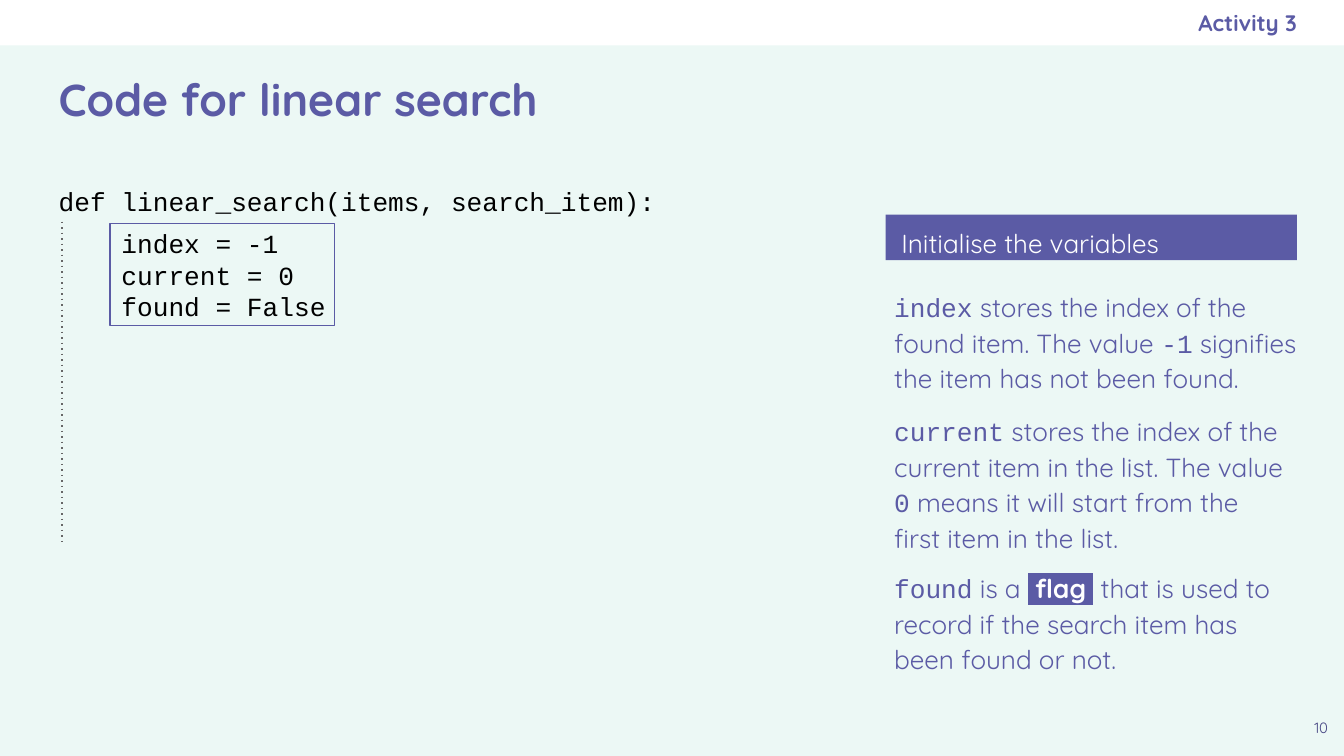
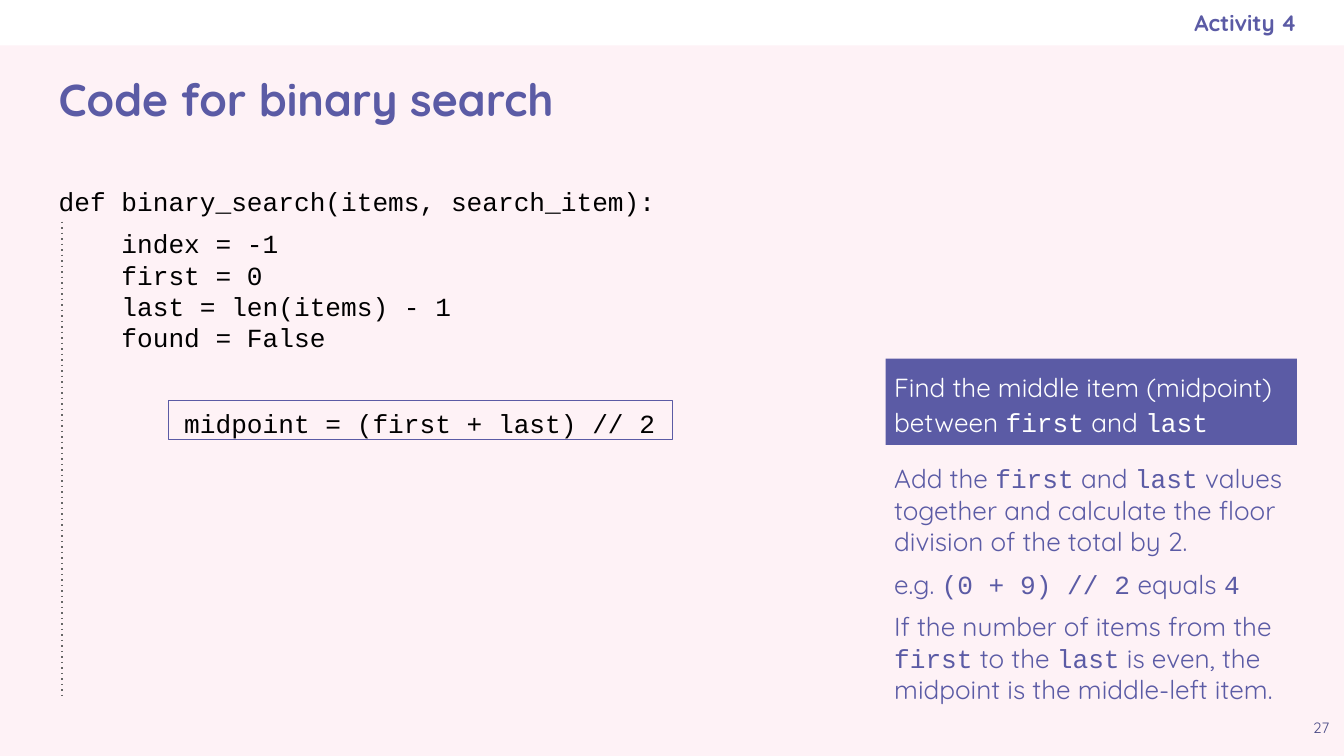
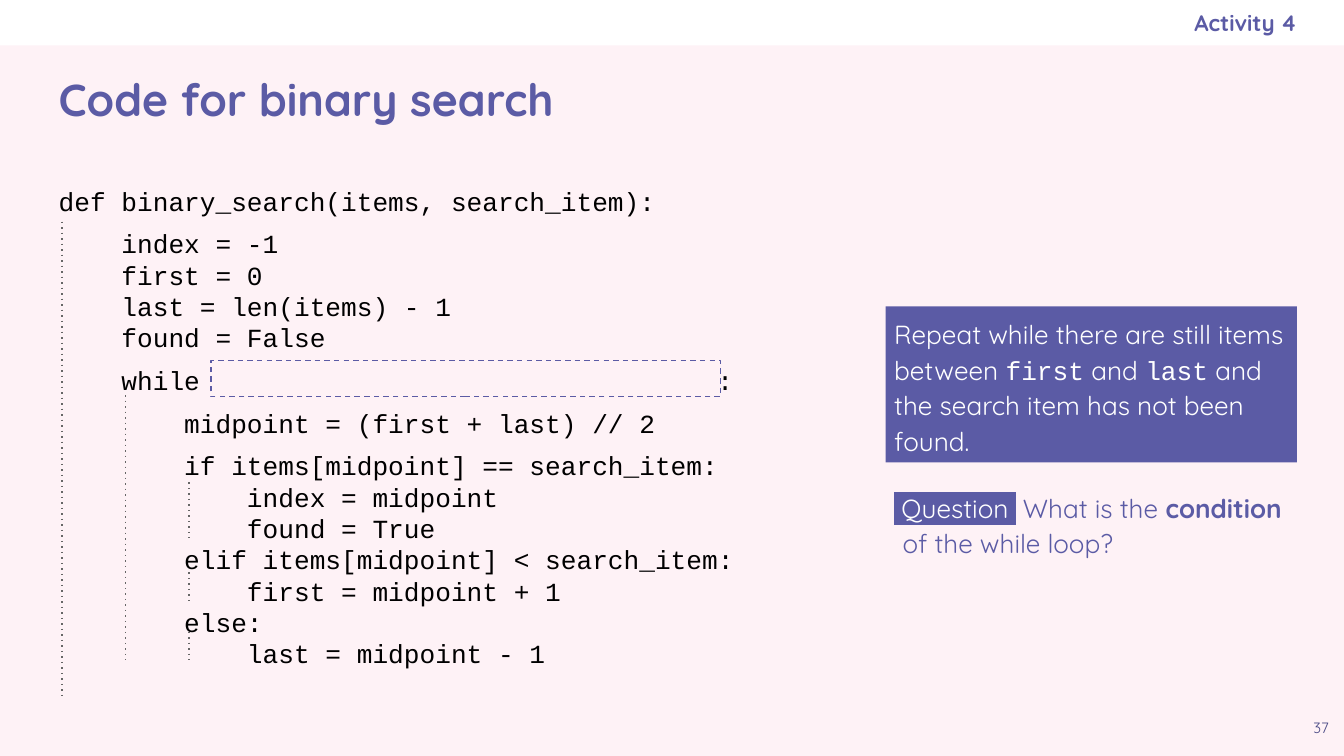
from lxml.etree import SubElement
from pptx import Presentation
from pptx.dml.color import RGBColor
from pptx.enum.dml import MSO_LINE
from pptx.enum.shapes import MSO_CONNECTOR, MSO_SHAPE
from pptx.enum.text import MSO_ANCHOR, PP_ALIGN
from pptx.oxml.ns import qn
from pptx.util import Cm, Pt

PURPLE, WHITE, BLACK = "5B5BA5", "FFFFFF", "000000"
INDIGO, GREY, MINT, PINK = "494985", "666666", "ECF8F5", "FEF2F6"
SANS, MONO = "Quicksand", "Courier New"
WIDE, HIGH, STRIP = 25.4, 14.29, 0.86
SIDE, SPAN = 16.74, 7.77
PAD, SLIM = 0.25, 0.16
ROW, GAP = 16.8, 6
STEM, STEP = 1.17, 1.2
COLON = 12.45

HEAD = "def binary_search(items, search_item):"
SETUP = """    index = -1
    first = 0
    last = len(items) - 1
    found = False"""
MIDDLE = "        midpoint = (first + last) // 2"
BRANCH = """        if items[midpoint] == search_item:
            index = midpoint
            found = True
        elif items[midpoint] < search_item:
            first = midpoint + 1
        else:
            last = midpoint - 1"""
FIRST, LAST = ("code", "first"), ("code", "last")


def paint(fmt, color):
    """Give a fill or line format a solid hex colour."""
    fill = getattr(fmt, "fill", fmt)
    fill.solid()
    fill.fore_color.rgb = RGBColor.from_string(color)


def style(font, size, color, face=SANS, bold=None):
    """Set the look of a font."""
    font.size, font.name, font.bold = Pt(size), face, bold
    font.color.rgb = RGBColor.from_string(color)


def fit(frame, pad, right=None, anchor=MSO_ANCHOR.TOP):
    """Set wrapping, insets and anchor of a text frame."""
    frame.word_wrap = True
    frame.vertical_anchor = anchor
    frame.margin_left = frame.margin_top = frame.margin_bottom = Cm(pad)
    frame.margin_right = Cm(pad if right is None else right)
    return frame


def box(slide, left, top, width, height, pad=PAD, right=None,
        anchor=MSO_ANCHOR.TOP):
    """Add a text box and return its frame."""
    shape = slide.shapes.add_textbox(Cm(left), Cm(top), Cm(width), Cm(height))
    return fit(shape.text_frame, pad, right, anchor)


def label(frame, text, size, color, bold=None, align=PP_ALIGN.LEFT):
    """Write one line of text in a frame."""
    para = frame.paragraphs[0]
    para.text, para.alignment = text, align
    style(para.font, size, color, bold=bold)


def block(slide, left, top, width, height, color=None):
    """Add a plain rectangle, filled or clear."""
    shape = slide.shapes.add_shape(MSO_SHAPE.RECTANGLE, Cm(left), Cm(top),
                                   Cm(width), Cm(height))
    shape.shadow.inherit = False
    shape.line.fill.background()
    if color:
        paint(shape.fill, color)
    else:
        shape.fill.background()
    return shape


def outline(slide, left, top, width, height, dash=None):
    """Frame some lines of code."""
    shape = block(slide, left, top, width, height)
    paint(shape.line, PURPLE)
    shape.line.width = Pt(0.75)
    if dash:
        shape.line.dash_style = dash


def guide(slide, level, top, end):
    """Draw a dotted indent guide at a code level."""
    x = Cm(STEM + level * STEP)
    rule = slide.shapes.add_connector(MSO_CONNECTOR.STRAIGHT,
                                      x, Cm(top), x, Cm(end))
    paint(rule.line, GREY)
    rule.line.width = Pt(0.75)
    rule.line.dash_style = MSO_LINE.ROUND_DOT
    for dash in rule.element.iter(qn("a:prstDash")):
        dash.set("val", "dot")
    SubElement(rule.element.spPr, qn("a:effectLst"))


def mark(run):
    """Highlight a run in purple with white text."""
    run.font.color.rgb = RGBColor.from_string(WHITE)
    glow = run.font._element.makeelement(qn("a:highlight"), {})
    SubElement(glow, qn("a:srgbClr"), val=PURPLE)
    run.font._element.find(qn("a:solidFill")).addnext(glow)


def prose(para, parts, color, space):
    """Fill a paragraph with plain text and (kind, text) parts."""
    para.alignment, para.line_spacing = PP_ALIGN.LEFT, space
    style(para.font, 14, color)
    for part in parts:
        kind, text = ("", part) if isinstance(part, str) else part
        run = para.add_run()
        run.text = text
        if kind == "code":
            run.font.name = MONO
        if kind in ("bold", "flag"):
            run.font.bold = True
        if kind in ("mark", "flag"):
            mark(run)


def note(slide, top, height, *paras, space=1.13, right=SLIM):
    """Add a side note and return its frame."""
    frame = box(slide, SIDE, top, SPAN, height, SLIM, right)
    for i, parts in enumerate(paras):
        para = frame.add_paragraph() if i else frame.paragraphs[0]
        if i:
            para.space_before = Pt(GAP)
        prose(para, parts, PURPLE, space)
    return frame


def banner(slide, top, height, *parts):
    """Add the purple heading of the side notes."""
    shape = block(slide, SIDE, top, SPAN, height, PURPLE)
    frame = fit(shape.text_frame, SLIM)
    prose(frame.paragraphs[0], parts, WHITE, 1.13)


def listing(slide, *groups):
    """Write groups of code lines; an empty group skips a row."""
    frame = box(slide, 0.86, 3.25, 15.44, 10.16)
    para, gap = frame.paragraphs[0], 0
    for group in groups:
        for line in group.splitlines():
            if para.text:
                para = frame.add_paragraph()
            para.text = line
            if "\t" in line:
                tabs = SubElement(para._p.get_or_add_pPr(), qn("a:tabLst"))
                SubElement(tabs, qn("a:tab"), pos=str(Cm(COLON)), algn="l")
            if gap:
                para.space_before = Pt(gap)
            style(para.font, 14, BLACK, MONO)
            gap = 0
        gap += GAP if group else GAP + ROW


def page(deck, color, topic, title, number):
    """Add a slide with its band, topic, title and number."""
    slide = deck.slides.add_slide(deck.slide_layouts[6])
    paint(slide.background.fill, color)
    block(slide, 0, 0, WIDE, STRIP, WHITE)
    mid = MSO_ANCHOR.MIDDLE
    label(box(slide, 14.6, 0, 9.91, STRIP, right=0, anchor=mid),
          topic, 12, PURPLE, True, PP_ALIGN.RIGHT)
    label(box(slide, STRIP, 0.89, 23.67, 1.93, anchor=mid),
          title, 24, PURPLE, True)
    label(box(slide, WIDE - STRIP, 13.41, STRIP, STRIP),
          str(number), 8, INDIGO, align=PP_ALIGN.CENTER)
    return slide


def linear(deck):
    """Build the slide on the variables of linear search."""
    slide = page(deck, MINT, "Activity 3", "Code for linear search", 10)
    listing(slide, "def linear_search(items, search_item):",
            "    index = -1\n    current = 0\n    found = False")
    outline(slide, 2.08, 4.22, 4.24, 1.93)
    guide(slide, 0, 4.19, 10.29)
    banner(slide, 4.06, 0.86, " Initialise the variables")
    note(slide, 5.28, 2.39,
         [("code", "index"), " stores the index of the found item. The value ",
          ("code", "-1"), " signifies the item has not been found."], right=0)
    note(slide, 7.62, 2.87,
         [("code", "current"),
          " stores the index of the current item in the list. The value ",
          ("code", "0"), " means it will start from the first item in the list."])
    note(slide, 10.59, 2.18,
         [("code", "found"), " is a ", ("flag", " flag "),
          " that is used to record if the search item has been found or not."])


def binary(deck, number):
    """Start a slide on binary search."""
    slide = page(deck, PINK, "Activity 4", "Code for binary search", number)
    guide(slide, 0, 4.19, 13.21)
    return slide


def midpoint(deck):
    """Build the slide on finding the midpoint."""
    slide = binary(deck, 27)
    listing(slide, HEAD, SETUP, "", MIDDLE)
    outline(slide, 3.18, 7.57, 9.53, 0.74)
    banner(slide, 6.78, 1.63, "Find the middle item (midpoint) between ",
           FIRST, " and ", LAST)
    note(slide, 8.59, 4.8,
         ["Add the ", FIRST, " and ", LAST,
          " values together and calculate the floor division of the total by 2."],
         ["e.g. ", ("code", "(0 + 9) // 2"), " equals ", ("code", "4")],
         ["If the number of items from the ", FIRST, " to the ", LAST,
          " is even, the midpoint is the middle-left item."], space=1.0)


def loop(deck):
    """Build the slide on the condition of the loop."""
    slide = binary(deck, 37)
    listing(slide, HEAD, SETUP, "    while\t:", MIDDLE, BRANCH)
    outline(slide, 3.99, 6.81, 9.63, 0.69, MSO_LINE.DASH)
    guide(slide, 1, 7.47, 12.47)
    for top, end in (9.12, 10.16), (10.82, 11.35), (11.94, 12.47):
        guide(slide, 2, top, end)
    banner(slide, 5.79, 2.95, "Repeat while there are still items between ",
           FIRST, " and ", LAST, " and the search item has not been found.")
    frame = note(slide, 9.07, 1.63,
                 [("mark", " Question "), " What is the ",
                  ("bold", "condition"), " of the while loop?"])
    props = frame.paragraphs[0]._p.get_or_add_pPr()
    props.set("marL", str(Cm(SLIM)))
    props.set("indent", str(-Cm(SLIM)))


def main():
    """Build and save the deck."""
    deck = Presentation()
    deck.slide_width, deck.slide_height = Cm(WIDE), Cm(HIGH)
    linear(deck)
    midpoint(deck)
    loop(deck)
    deck.save("out.pptx")


if __name__ == "__main__":
    main()
